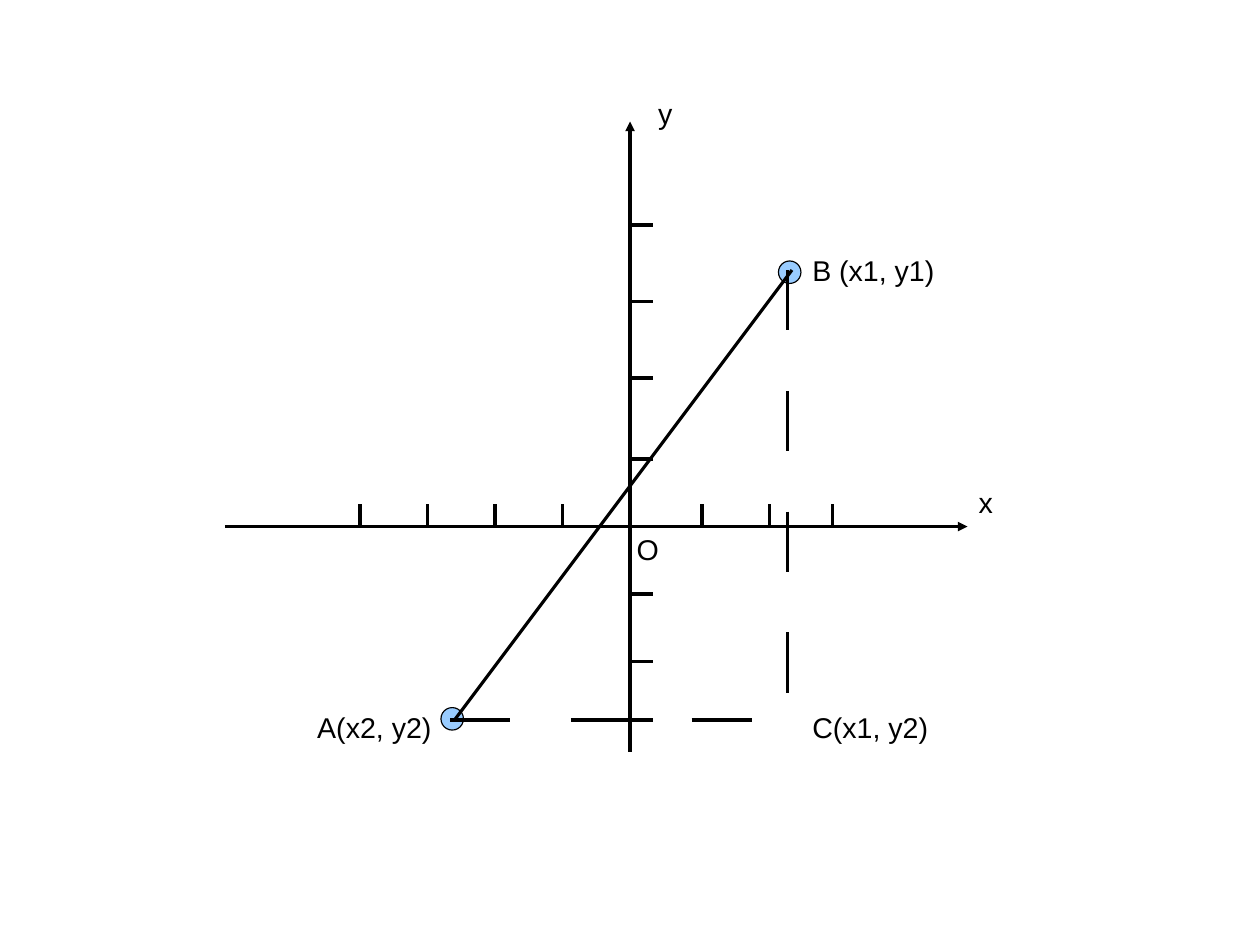
from lxml import etree
from pptx import Presentation
from pptx.dml.color import RGBColor
from pptx.enum.shapes import MSO_CONNECTOR, MSO_SHAPE
from pptx.enum.text import MSO_AUTO_SIZE
from pptx.oxml.ns import qn
from pptx.util import Cm, Inches, Pt

STRAIGHT = MSO_CONNECTOR.STRAIGHT
OVAL = MSO_SHAPE.OVAL
FIT = MSO_AUTO_SIZE.SHAPE_TO_FIT_TEXT

# Content, in squares of a 56 by 42 grid
COLORS = {"ink": "000000", "point": "99CCFF"}
COLUMNS, ROWS = 56, 42
ORIGIN_X, ORIGIN_Y = 28, 23.4
X_AXIS = ((10, ORIGIN_Y), (43, ORIGIN_Y))
Y_AXIS = ((ORIGIN_X, 33.4), (ORIGIN_X, 5.4))
X_TICKS = [16, 19, 22, 25, 31.2, 34.2, 37]
Y_TICKS = [10, 13.4, 16.8, 20.4, 26.4, 29.4, 32]
TICK = 1
A, B, C = (20, 32), (35, 12), (35, 32)
POINT_SIZE = 1
POINT_CENTERS = [(20.1, 31.95), (35.1, 12.1)]
SEGMENT = ((20.2, 32), (35.2, 12))
LABELS = [  # text, left, top, width
    ("x", 43, 21.3, 1.63),
    ("y", 28.75, 4, 1.63),
    ("O", 27.8, 23.4, 1.98),
    ("A(x2, y2)", 13.6, 31.3, 6.1),
    ("B (x1, y1)", 35.6, 11, 6.45),
    ("C(x1, y2)", 35.6, 31.3, 6.15),
]
LABEL_HEIGHT = 1.93
DASH_PERCENT = "1890000"


def squares(*lengths):
    return [Cm(length / 2) for length in lengths]


def color(name):
    return RGBColor.from_string(COLORS[name])


def add_line(start, end, arrow=False, dashed=False):
    line = slide.shapes.add_connector(STRAIGHT, *squares(*start, *end))
    line.line.width = 0
    line.line.color.rgb = color("ink")
    properties = line._element.spPr
    outline = properties.find(qn("a:ln"))
    if dashed:
        dashes = etree.SubElement(outline, qn("a:custDash"))
        etree.SubElement(dashes, qn("a:ds"), d=DASH_PERCENT, sp=DASH_PERCENT)
    if arrow:
        etree.SubElement(outline, qn("a:tailEnd"), type="triangle")
    etree.SubElement(properties, qn("a:effectLst"))


prs = Presentation()
prs.slide_width, prs.slide_height = squares(COLUMNS, ROWS)
slide = prs.slides.add_slide(prs.slide_layouts[6])

# Axes and ticks
for axis in (Y_AXIS, X_AXIS):
    add_line(*axis, arrow=True)
for y in Y_TICKS:
    add_line((ORIGIN_X, y), (ORIGIN_X + TICK, y))
for x in X_TICKS:
    add_line((x, ORIGIN_Y), (x, ORIGIN_Y - TICK))

# Points A and B
for x, y in POINT_CENTERS:
    point = slide.shapes.add_shape(
        OVAL, *squares(x - POINT_SIZE / 2, y - POINT_SIZE / 2, POINT_SIZE, POINT_SIZE))
    point.shadow.inherit = False
    point.fill.solid()
    point.fill.fore_color.rgb = color("point")
    point.line.width = 0
    point.line.color.rgb = color("ink")

# Triangle ABC
add_line(*SEGMENT)
for leg in ((B, C), (A, C)):
    add_line(*leg, dashed=True)

# Labels
for text, left, top, width in LABELS:
    label = slide.shapes.add_textbox(*squares(left, top, width, LABEL_HEIGHT))
    frame = label.text_frame
    frame.word_wrap = False
    frame.auto_size = FIT
    frame.margin_left = frame.margin_right = Inches(0.1)
    frame.margin_top = frame.margin_bottom = Inches(0.05)
    paragraph = frame.paragraphs[0]
    paragraph.text = text
    paragraph.font.name = "Arial"
    paragraph.font.size = Pt(18)
    paragraph.font.color.rgb = color("ink")

prs.save("out.pptx")
